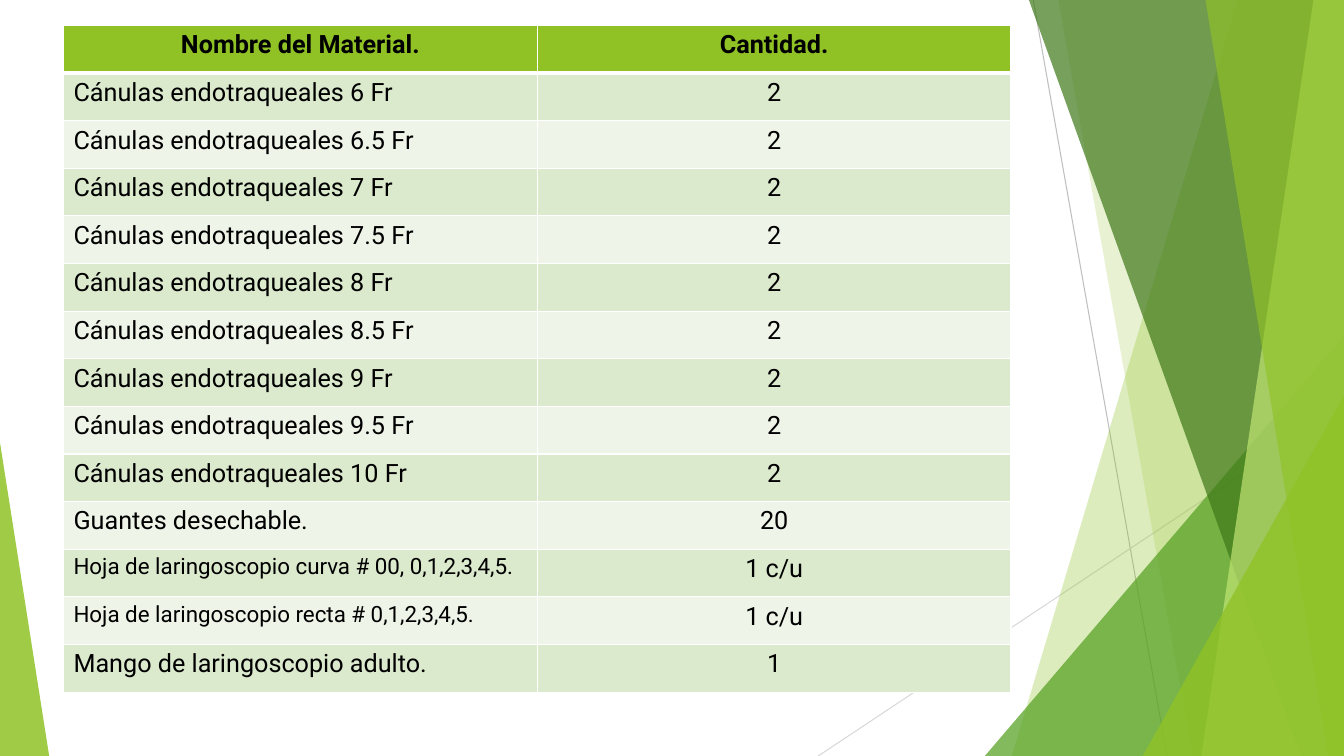
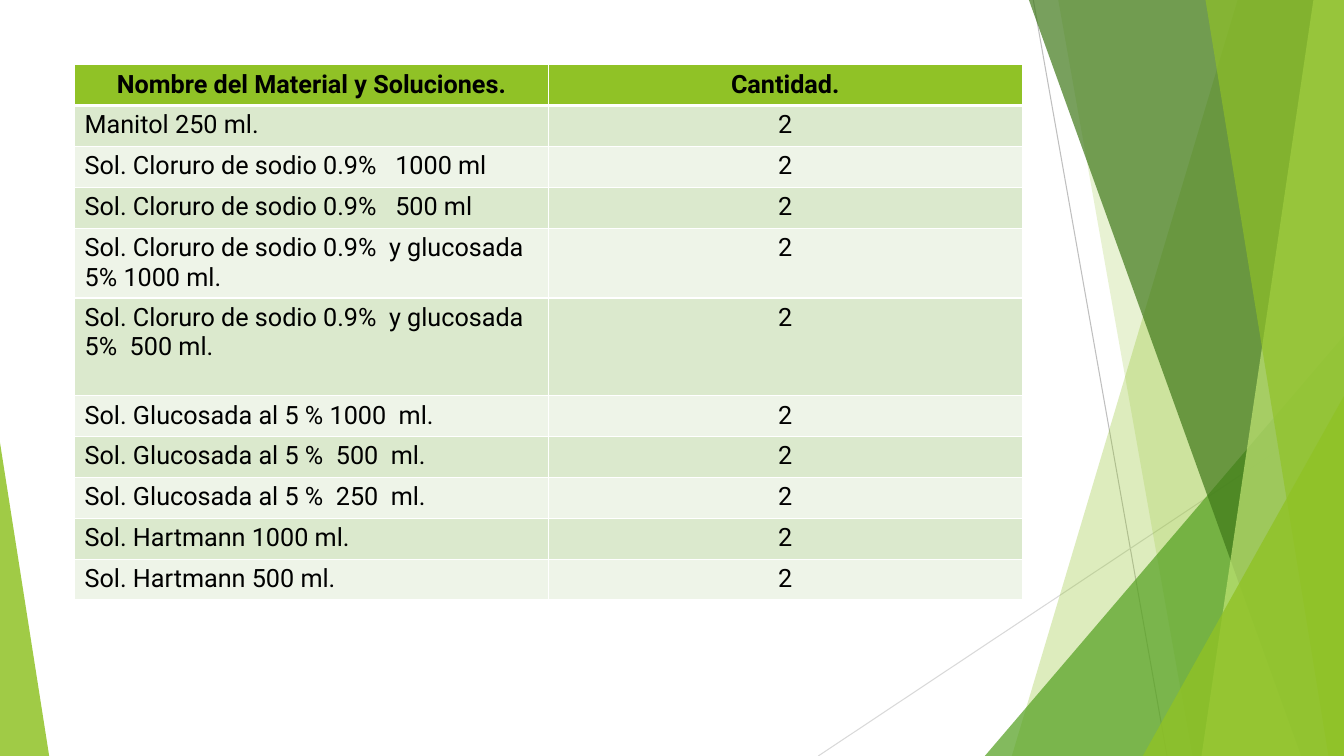
"""Builds two slides listing airway material and solutions with their quantities."""
from lxml.etree import SubElement
from pptx import Presentation
from pptx.dml.color import RGBColor
from pptx.enum.shapes import MSO_CONNECTOR as CONNECTOR, MSO_SHAPE as SHAPE
from pptx.enum.text import PP_ALIGN as ALIGN
from pptx.oxml import parse_xml
from pptx.oxml.ns import nsdecls, qn
from pptx.util import Cm, Pt

FONT = "Roboto"
BLACK = RGBColor(0x00, 0x00, 0x00)
LIME = RGBColor(0x90, 0xC2, 0x26)
GREEN = RGBColor(0x54, 0xA0, 0x21)
FOREST = RGBColor(0x3F, 0x78, 0x19)
PALE_LIME = RGBColor(0xC0, 0xE4, 0x74)
ROW_DARK = RGBColor(0xDB, 0xE9, 0xCD)
ROW_LIGHT = RGBColor(0xEE, 0xF4, 0xE8)
GREY = RGBColor(0xBF, 0xBF, 0xBF)
PALE_GREY = RGBColor(0xD9, 0xD9, 0xD9)

WIDTH, HEIGHT = 33.87, 19.05
COLUMN_WIDTH = 11.94

RAYS = [
    (26.04, 0, 29.41, HEIGHT, GREY),
    (WIDTH, 10.24, 20.62, HEIGHT, PALE_GREY),
]

# "band": top x, bottom x; "peak": left, top, width, apex
FACETS = [
    ("band", (31.19, 25.5), LIME, 30),
    ("band", (26.67, 30.05), LIME, 20),
    ("peak", (24.82, 8.46, 9.05, 1), GREEN, 72),
    ("band", (25.93, 32.79), FOREST, 70),
    ("band", (33.1, 30.28), PALE_LIME, 70),
    ("band", (30.38, 33.48), LIME, 65),
    ("peak", (28.8, 9.98, 5.07, 1), LIME, 80),
    ("peak", (0, 11.15, 1.24, 0), LIME, 85),
]

TUBE_SIZES = ["6", "6.5", "7", "7.5", "8", "8.5", "9", "9.5", "10"]
AIRWAY = [("Nombre del Material.", "Cantidad.")]
AIRWAY += [(f"Cánulas endotraqueales {size} Fr", "2") for size in TUBE_SIZES]
AIRWAY += [
    ("Guantes desechable.", "20"),
    ("Hoja de laringoscopio curva # 00, 0,1,2,3,4,5.", "1 c/u"),
    ("Hoja de laringoscopio recta # 0,1,2,3,4,5.", "1 c/u"),
    ("Mango de laringoscopio adulto.", "1"),
]
SOLUTION_NAMES = [
    "Manitol 250 ml.",
    "Sol. Cloruro de sodio 0.9%   1000 ml",
    "Sol. Cloruro de sodio 0.9%   500 ml",
    "Sol. Cloruro de sodio 0.9%  y glucosada 5% 1000 ml.",
    "Sol. Cloruro de sodio 0.9%  y glucosada 5%  500 ml.",
    "Sol. Glucosada al 5 % 1000  ml.",
    "Sol. Glucosada al 5 %  500  ml.",
    "Sol. Glucosada al 5 %  250  ml.",
    "Sol. Hartmann 1000 ml.",
    "Sol. Hartmann 500 ml.",
]
SOLUTIONS = [("Nombre del Material y Soluciones.", "Cantidad.")]
SOLUTIONS += [(name, "2") for name in SOLUTION_NAMES]

INVENTORIES = [
    (AIRWAY, 1.6, 0.64, 1.2, {}),
    (SOLUTIONS, 1.88, 1.63, 1.03, {4: 1.76, 5: 2.46}),
]


def write(cell, text, size=18, bold=False, align=ALIGN.LEFT):
    paragraph = cell.text_frame.paragraphs[0]
    paragraph.alignment = align
    run = paragraph.add_run()
    run.text = text
    run.font.name = FONT
    run.font.size = Pt(size)
    run.font.bold = bold
    run.font.color.rgb = BLACK


def add_borders(cell, **widths):
    for position, (side, points) in enumerate(widths.items()):
        border = parse_xml(
            f'<a:ln{side} {nsdecls("a")} w="{Pt(points)}"><a:solidFill>'
            f'<a:srgbClr val="FFFFFF"/></a:solidFill></a:ln{side}>'
        )
        cell._tc.get_or_add_tcPr().insert(position, border)


deck = Presentation()
deck.slide_width, deck.slide_height = Cm(WIDTH), Cm(HEIGHT)

for inventory, left, top, row_height, tall_rows in INVENTORIES:
    slide = deck.slides.add_slide(deck.slide_layouts[6])
    shapes = slide.shapes

    for x1, y1, x2, y2, colour in RAYS:
        ray = shapes.add_connector(CONNECTOR.STRAIGHT, Cm(x1), Cm(y1), Cm(x2), Cm(y2))
        ray.line.color.rgb = colour
        ray.line.width = Pt(0.75)
        SubElement(ray._element.spPr, qn("a:effectLst"))

    for kind, geometry, colour, opacity in FACETS:
        if kind == "band":
            top_x, bottom_x = geometry
            outline = shapes.build_freeform(Cm(top_x), 0)
            corners = [(WIDTH, 0), (WIDTH, HEIGHT), (bottom_x, HEIGHT)]
            outline.add_line_segments([(Cm(x), Cm(y)) for x, y in corners])
            facet = outline.convert_to_shape()
        else:
            x, y, width, apex = geometry
            facet = shapes.add_shape(
                SHAPE.ISOSCELES_TRIANGLE, Cm(x), Cm(y), Cm(width), Cm(HEIGHT - y)
            )
            facet.adjustments[0] = apex
        facet.shadow.inherit = False
        facet.line.fill.background()
        facet.fill.solid()
        facet.fill.fore_color.rgb = colour
        tint = facet._element.spPr.find(qn("a:solidFill"))[0]
        SubElement(tint, qn("a:alpha"), val=str(opacity * 1000))

    heights = [tall_rows.get(index, row_height) for index in range(len(inventory))]
    table = shapes.add_table(
        len(inventory), 2, Cm(left), Cm(top), Cm(2 * COLUMN_WIDTH), Cm(sum(heights))
    ).table
    for column in table.columns:
        column.width = Cm(COLUMN_WIDTH)

    for index, entry in enumerate(inventory):
        table.rows[index].height = Cm(heights[index])
        header = index == 0
        row_fill = LIME if header else ROW_DARK if index % 2 else ROW_LIGHT
        for column, text in enumerate(entry):
            cell = table.cell(index, column)
            cell.fill.solid()
            cell.fill.fore_color.rgb = row_fill
            add_borders(cell, L=1, R=1, T=3 if index == 1 else 1, B=3 if header else 1)
            write(
                cell,
                text,
                size=16 if text.startswith("Hoja") else 18,
                bold=header,
                align=ALIGN.CENTER if header or column else ALIGN.LEFT,
            )

deck.save("out.pptx")
